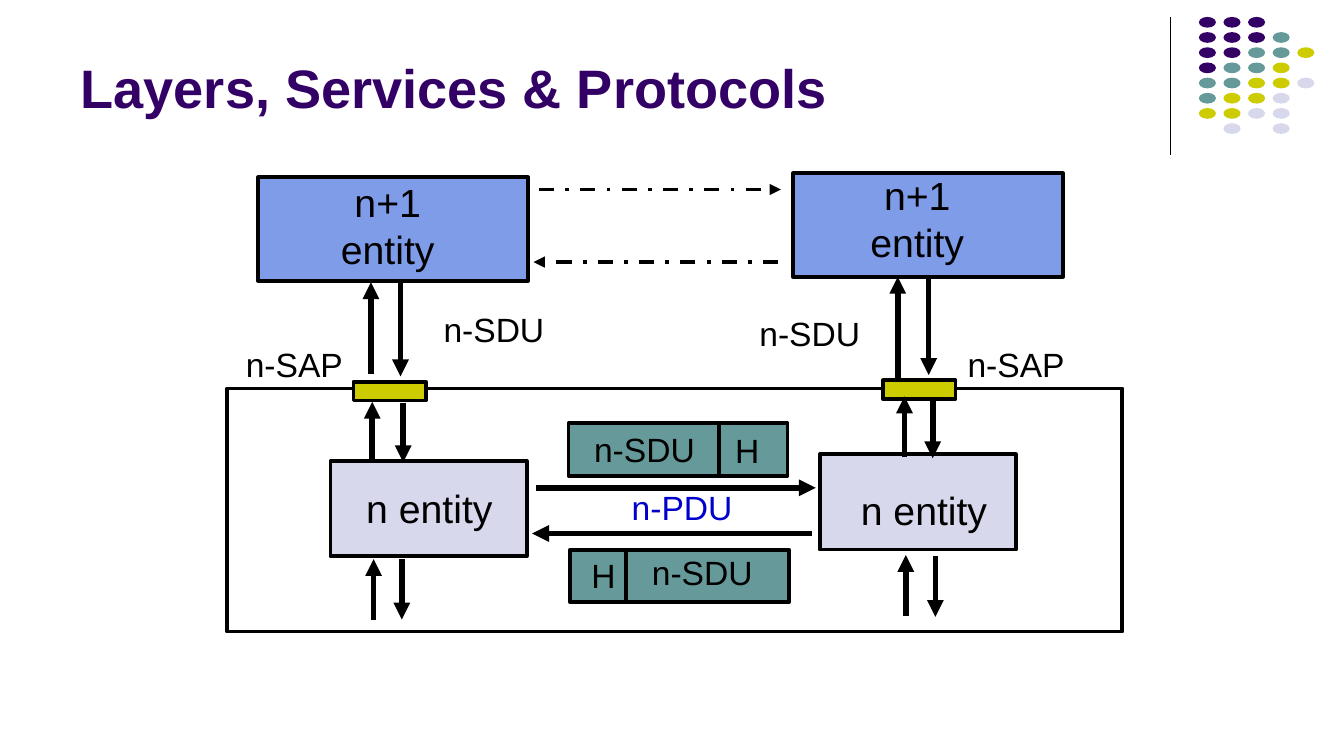
import pptx
import pptx.dml.color
import pptx.enum.dml
import pptx.enum.shapes
import pptx.enum.text
import pptx.oxml
import pptx.oxml.ns
import pptx.util

COLUMNS, ROWS = 100, 56.25  # square grid cells of a tenth of an inch
COLORS = {
    "ink": "000000",
    "purple": "330066",
    "teal": "669999",
    "yellow": "CCCC00",
    "lavender": "D8D8EC",
    "blue": "7E9CE8",
    "pdu": "0000CC",
}
RECTANGLE = pptx.enum.shapes.MSO_SHAPE.RECTANGLE
OVAL = pptx.enum.shapes.MSO_SHAPE.OVAL
DASH_DOT = pptx.enum.dml.MSO_LINE.DASH_DOT
ANCHOR = pptx.enum.text.MSO_ANCHOR
ALIGN = pptx.enum.text.PP_ALIGN


def color(name):
    return pptx.dml.color.RGBColor.from_string(COLORS[name])


def write(frame, text, size=18, ink="ink", bold=False, align=ALIGN.CENTER,
          anchor=ANCHOR.MIDDLE, wrap=False):
    """Fill a text frame, one paragraph per line of text."""
    frame.text = text
    frame.word_wrap = wrap
    frame.auto_size = pptx.enum.text.MSO_AUTO_SIZE.NONE
    frame.vertical_anchor = anchor
    for paragraph in frame.paragraphs:
        paragraph.alignment = align
        paragraph.font.name = "Arial"
        paragraph.font.size = pptx.util.Pt(size)
        paragraph.font.bold = bold
        paragraph.font.color.rgb = color(ink)


class Canvas:
    """Style and current slide; all lengths are grid columns and rows."""

    def __init__(self, presentation):
        self.cell_width = presentation.slide_width / COLUMNS
        self.cell_height = presentation.slide_height / ROWS
        self.slide = presentation.slides.add_slide(presentation.slide_layouts[5])

    def place(self, *lengths):
        cells = (self.cell_width, self.cell_height) * 2
        return [round(length * cell) for length, cell in zip(lengths, cells)]

    def title(self, text, left, top, width, height):
        title = self.slide.shapes.title
        title.left, title.top, title.width, title.height = self.place(
            left, top, width, height)
        write(title.text_frame, text, size=29, ink="purple", bold=True,
              align=ALIGN.LEFT, anchor=ANCHOR.BOTTOM, wrap=True)

    def shape(self, left, top, width, height, fill=None, kind=RECTANGLE, border=2):
        shape = self.slide.shapes.add_shape(kind, *self.place(left, top, width, height))
        shape.shadow.inherit = False
        if fill:
            shape.fill.solid()
            shape.fill.fore_color.rgb = color(fill)
        else:
            shape.fill.background()
        if border:
            shape.line.color.rgb = color("ink")
            shape.line.width = pptx.util.Pt(border)
        else:
            shape.line.fill.background()

    def label(self, text, left, top, width, height=4, **text_format):
        box = self.slide.shapes.add_textbox(*self.place(left, top, width, height))
        write(box.text_frame, text, **text_format)

    def line(self, x1, y1, x2, y2, width=3, arrow=True, dash=None):
        connector = self.slide.shapes.add_connector(
            pptx.enum.shapes.MSO_CONNECTOR.STRAIGHT, *self.place(x1, y1, x2, y2))
        connector.line.color.rgb = color("ink")
        connector.line.width = pptx.util.Pt(width)
        if dash:
            connector.line.dash_style = dash
        if arrow:
            tail = pptx.oxml.parse_xml(
                f'<a:tailEnd {pptx.oxml.ns.nsdecls("a")} type="triangle"/>')
            connector.line._get_or_add_ln().append(tail)
        effects = pptx.oxml.parse_xml(f'<a:effectLst {pptx.oxml.ns.nsdecls("a")}/>')
        connector._element.spPr.append(effects)


def draw_corner(canvas):
    """Rule and dot pattern at the top right."""
    canvas.line(87.1, 1.3, 87.1, 11.5, width=0.75, arrow=False)
    dot_colors = {"P": "purple", "T": "teal", "Y": "yellow", "L": "lavender"}
    pattern = ["PPP", "PPPT", "PPTTY", "PTTY", "TTYYL", "TYYL", "YYLL", ".L.L"]
    for row, letters in enumerate(pattern):
        for column, letter in enumerate(letters):
            if letter in dot_colors:
                canvas.shape(89.2 + 1.83 * column, 1.26 + 1.13 * row, 1.27, 0.8,
                             dot_colors[letter], OVAL, border=None)


def draw_boxes(canvas):
    canvas.shape(16.9, 28.9, 66.6, 18.1)  # frame of layer n
    for left, top in [(19.2, 13.2), (59, 12.9)]:  # n+1 entities
        canvas.shape(left, top, 20.1, 7.7, "blue")
    for left, top in [(24.6, 34.3), (61, 33.8)]:  # n entities
        canvas.shape(left, top, 14.6, 7.1, "lavender")
    for left, top in [(26.3, 28.4), (65.7, 28.3)]:  # service access points
        canvas.shape(left, top, 5.4, 1.4, "yellow")
    for left, top, divider in [(42.3, 31.5, 53.5), (42.4, 40.9, 46.6)]:  # PDUs
        canvas.shape(left, top, 16.3, 3.9, "teal")
        canvas.line(divider, top, divider, top + 3.8, width=2, arrow=False)


def draw_arrows(canvas):
    # Between peers
    canvas.line(40.1, 14.1, 58.1, 14.1, width=2, dash=DASH_DOT)
    canvas.line(57.9, 19.5, 39.7, 19.5, width=2, dash=DASH_DOT)
    canvas.line(39.9, 36.3, 60.7, 36.3)
    canvas.line(60.4, 39.7, 39.6, 39.7)
    # Between layers: column, start row, end row
    vertical = [
        (27.6, 27.8, 21), (29.8, 21, 28), (66.8, 28.1, 20.6), (69.1, 20.6, 27.9),
        (27.7, 34.4, 29.9), (30, 30, 34.4), (67.3, 34, 29.5), (69.4, 29.7, 34.1),
        (27.8, 46.1, 41.6), (29.9, 41.6, 46.1), (67.4, 45.8, 41.3), (69.6, 41.4, 45.9),
    ]
    for column, start, end in vertical:
        canvas.line(column, start, column, end)


def draw_labels(canvas):
    for left, top in [(24.6, 12.9), (64, 12.4)]:
        canvas.label("n+1\nentity", left, top, 8.5, 7.7, size=21)
    for left, top in [(26.5, 35.7), (63.3, 35.8)]:
        canvas.label("n entity", left, top, 10.9, 4.2, size=21)
    for left in (17.3, 71):
        canvas.label("n-SAP", left, 25.1, 9.2)
    for left, top in [(32, 22.5), (55.5, 22.8), (43.2, 31.4), (47.5, 40.6)]:
        canvas.label("n-SDU", left, top, 9.5)
    for left, top in [(53.7, 31.5), (43, 40.8)]:
        canvas.label("H", left, top, 3.8)
    canvas.label("n-PDU", 45, 35.7, 11.5, ink="pdu", wrap=True)


def main():
    presentation = pptx.Presentation()
    presentation.slide_width = pptx.util.Inches(10)
    presentation.slide_height = presentation.slide_width * 9 // 16
    canvas = Canvas(presentation)
    canvas.title("Layers, Services & Protocols", 5, 1, 82.5, 8.4)
    draw_corner(canvas)
    draw_boxes(canvas)
    draw_arrows(canvas)
    draw_labels(canvas)
    presentation.save("out.pptx")


if __name__ == "__main__":
    main()
